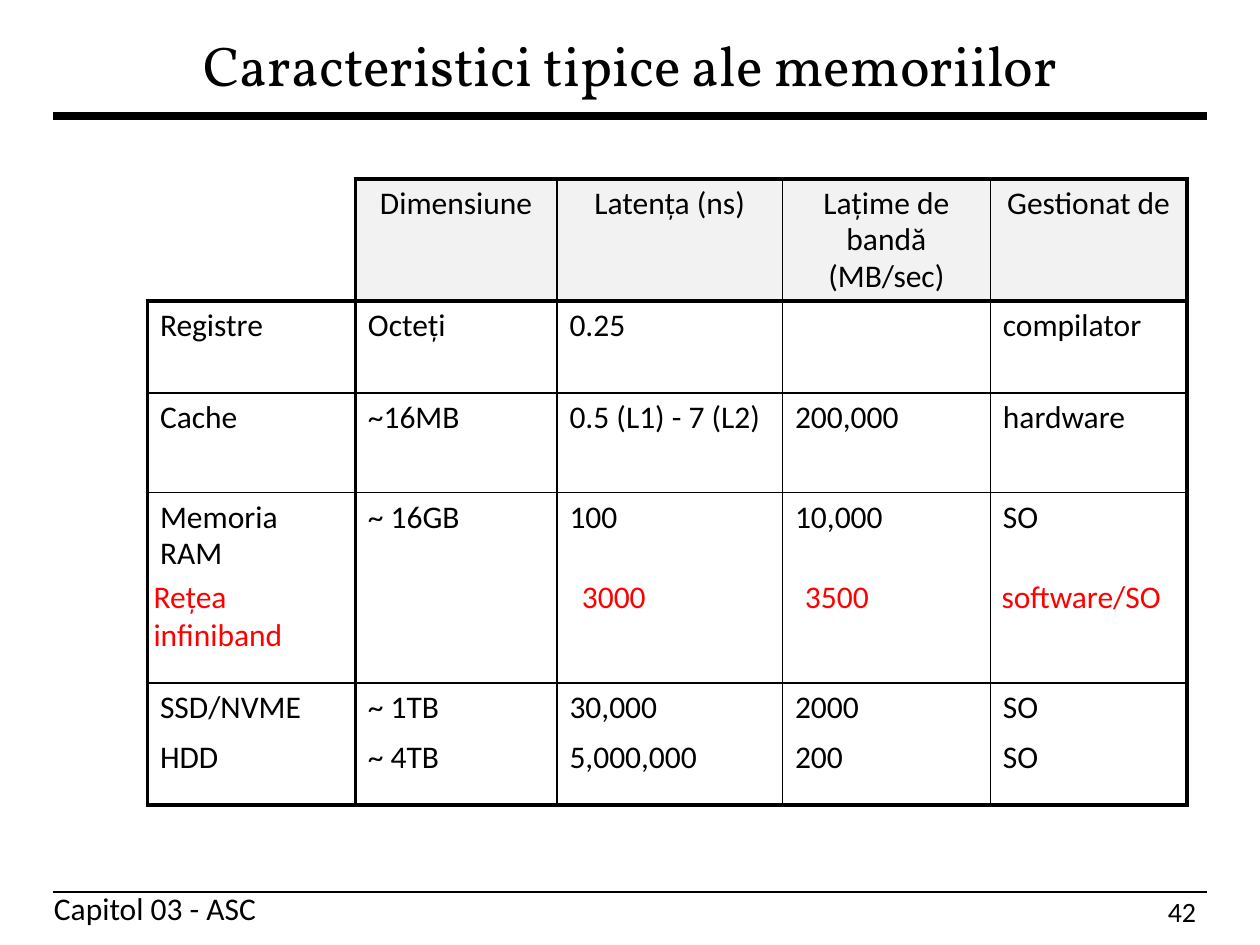
from lxml import etree
from pptx import Presentation
from pptx.dml.color import RGBColor
from pptx.enum.shapes import MSO_CONNECTOR
from pptx.enum.text import MSO_ANCHOR, PP_ALIGN
from pptx.oxml.ns import qn
from pptx.util import Emu, Pt

EMU_PER_PX = 9144  # 100 px to the inch
BLACK = RGBColor(0x00, 0x00, 0x00)
RED = RGBColor(0xFF, 0x00, 0x00)
HEADER_GRAY = RGBColor(0xF2, 0xF2, 0xF2)
LEFT, CENTER = PP_ALIGN.LEFT, PP_ALIGN.CENTER
TOP, MIDDLE = MSO_ANCHOR.TOP, MSO_ANCHOR.MIDDLE
STRAIGHT = MSO_CONNECTOR.STRAIGHT
BODY_FONT, TITLE_FONT = "Calibri", "Vollkorn"
THIN, THICK = 1, 2.25

COLUMN_WIDTHS = [165, 160, 179, 165, 156]
ROW_HEIGHTS = [97, 73, 79, 151, 97]
MEMORY_ROWS = [
    ["", "Dimensiune", "Latența (ns)", "Lațime de bandă (MB/sec)", "Gestionat de"],
    ["Registre", "Octeți", "0.25", "", "compilator"],
    ["Cache", "~16MB", "0.5 (L1) - 7 (L2)", "200,000", "hardware"],
    ["Memoria RAM", "~ 16GB", "100", "10,000", "SO"],
    ["SSD/NVME\nHDD", "~ 1TB\n~ 4TB", "30,000\n5,000,000", "2000\n200", "SO\nSO"],
]
NETWORK_LINES = ["Rețea\t3000\t3500\tsoftware/SO", "infiniband"]
NETWORK_TABS = [340, 517, 673]


def px(n):
    return Emu(n * EMU_PER_PX)


def set_border(cell, side, width):
    """Draw one side (L, R, T or B) of a cell; a width of None hides it."""
    tag = qn(f"a:ln{side}")
    if width is None:
        ln = etree.Element(tag, w="0")
        etree.SubElement(ln, qn("a:noFill"))
    else:
        ln = etree.Element(tag, w=str(Pt(width)))
        fill = etree.SubElement(ln, qn("a:solidFill"))
        etree.SubElement(fill, qn("a:srgbClr"), val=str(BLACK))
    cell._tc.get_or_add_tcPr().append(ln)


class SlideBuilder:
    def __init__(self, slide, font=BODY_FONT, size=18):
        self.slide, self.font, self.size = slide, font, size

    def add_lines(self, tf, lines, size=None, color=BLACK, font=None, align=LEFT,
                  line_spacing=None, gap=0, tabs=()):
        for i, line in enumerate(lines):
            p = tf.add_paragraph() if i else tf.paragraphs[0]
            p.alignment = align
            if line_spacing:
                p.line_spacing = line_spacing
            if i and gap:
                p.space_before = Pt(gap)
            if tabs:
                tab_list = etree.SubElement(p._p.get_or_add_pPr(), qn("a:tabLst"))
                for tab in tabs:
                    etree.SubElement(tab_list, qn("a:tab"), pos=str(px(tab)), algn="l")
            r = p.add_run()
            r.text = line
            r.font.name = font or self.font
            r.font.size = Pt(size or self.size)
            r.font.color.rgb = color

    def text(self, x, y, w, h, lines, wrap=True, anchor=TOP, **style):
        tf = self.slide.shapes.add_textbox(px(x), px(y), px(w), px(h)).text_frame
        tf.word_wrap = wrap
        tf.vertical_anchor = anchor
        self.add_lines(tf, lines, **style)

    def rule(self, x1, x2, y, width):
        line = self.slide.shapes.add_connector(STRAIGHT, px(x1), px(y), px(x2), px(y))
        line.line.color.rgb = BLACK
        line.line.width = Pt(width)
        etree.SubElement(line._element.spPr, qn("a:effectLst"))

    def table(self, x, y, widths, heights, rows):
        """Table with thick rules around the header row, first column and outside."""
        n_rows, n_cols = len(heights), len(widths)
        table = self.slide.shapes.add_table(
            n_rows, n_cols, px(x), px(y), px(sum(widths)), px(sum(heights))).table
        table.first_row = table.horz_banding = False
        for column, width in zip(table.columns, widths):
            column.width = px(width)
        for row, height in zip(table.rows, heights):
            row.height = px(height)
        for i, row in enumerate(rows):
            for j, value in enumerate(row):
                cell = table.cell(i, j)
                corner = i == j == 0
                edges = [("L", j, n_cols), ("R", j + 1, n_cols),
                         ("T", i, n_rows), ("B", i + 1, n_rows)]
                for side, k, last in edges:
                    width = THICK if k in (0, 1, last) else THIN
                    set_border(cell, side, None if corner and k == 0 else width)
                if i == 0 and not corner:
                    cell.fill.solid()
                    cell.fill.fore_color.rgb = HEADER_GRAY
                else:
                    cell.fill.background()
                if value:
                    self.add_lines(cell.text_frame, value.split("\n"), line_spacing=0.95,
                                   gap=7.6, align=LEFT if i else CENTER)


def main():
    prs = Presentation()
    prs.slide_width, prs.slide_height = px(1000), px(750)
    s = SlideBuilder(prs.slides.add_slide(prs.slide_layouts[6]))

    s.text(33, 701, 186, 40, ["Capitol 03 - ASC"], wrap=False)
    s.rule(42, 958, 92, 5)
    s.text(917, 705, 43, 37, ["42"], wrap=False, size=16)
    s.rule(42, 958, 708, 1.5)
    s.text(42, 17, 917, 67, ["Caracteristici tipice ale memoriilor"],
           anchor=MIDDLE, size=32, font=TITLE_FONT, align=CENTER)
    s.table(117, 142, COLUMN_WIDTHS, ROW_HEIGHTS, MEMORY_ROWS)
    s.text(112, 453, 831, 71, NETWORK_LINES, color=RED, tabs=NETWORK_TABS)

    prs.save("out.pptx")


if __name__ == "__main__":
    main()
